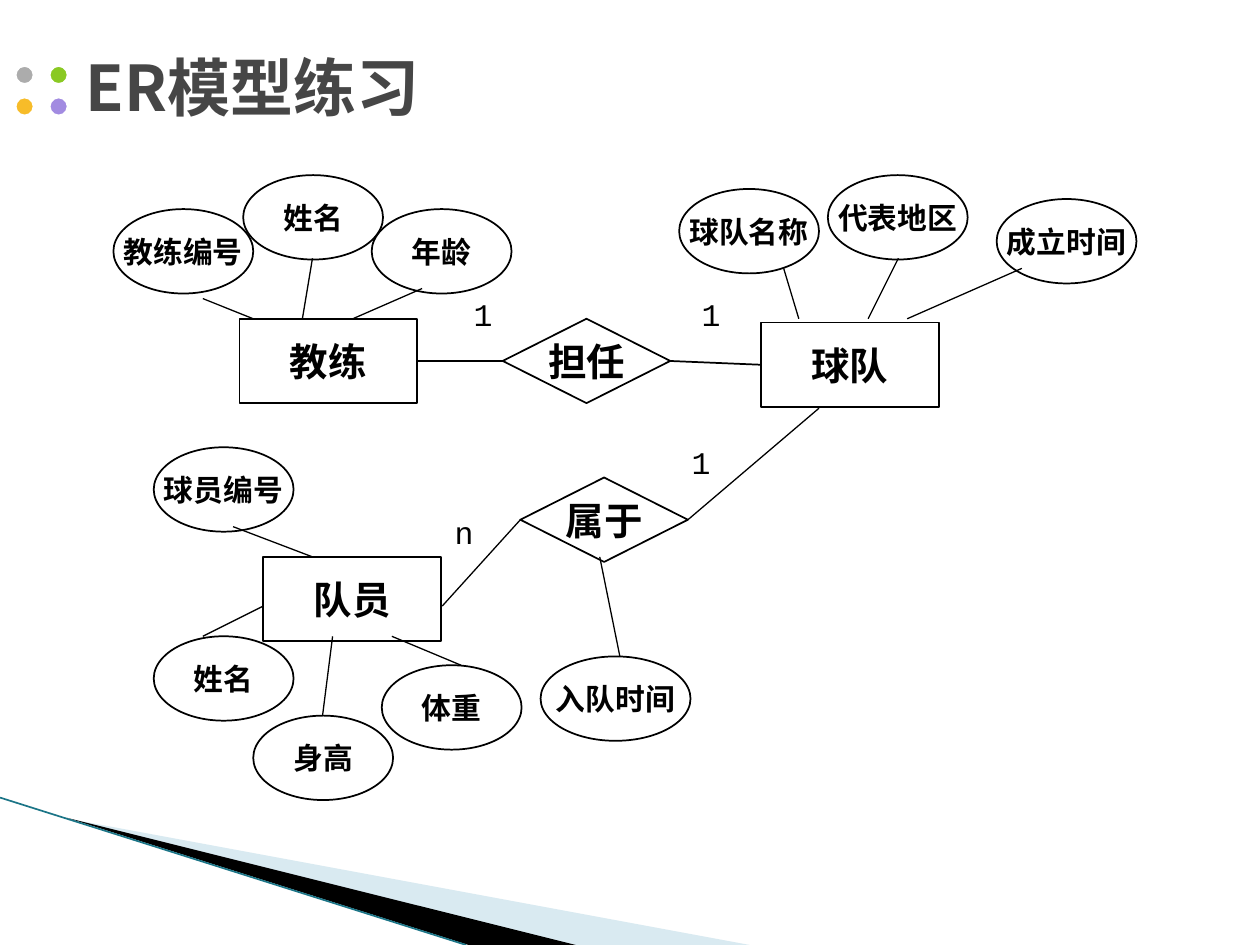
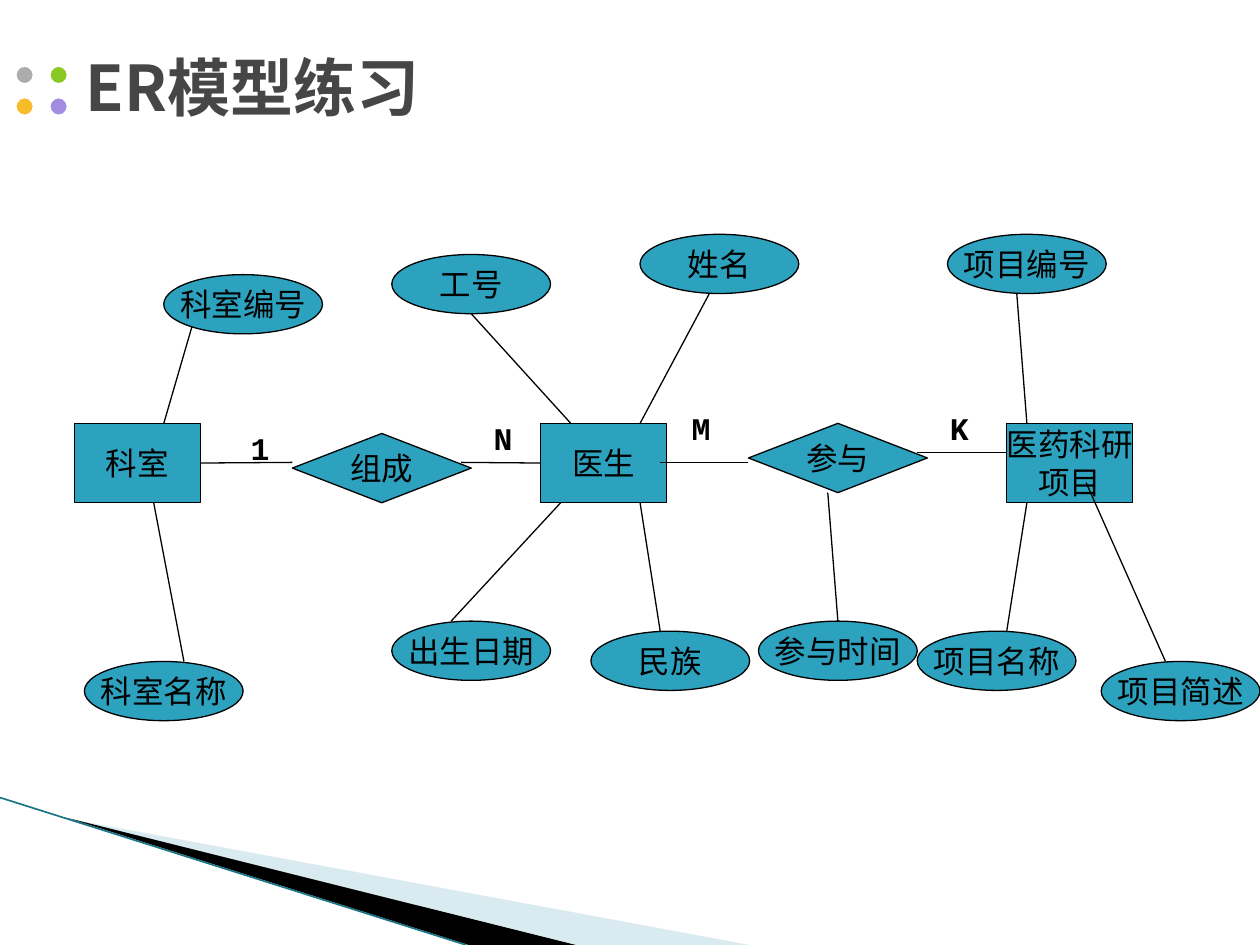
from lxml import etree
from pptx import Presentation
from pptx.dml.color import RGBColor
from pptx.enum.shapes import MSO_CONNECTOR, MSO_SHAPE
from pptx.enum.text import MSO_ANCHOR, PP_ALIGN
from pptx.oxml.ns import qn
from pptx.util import Inches, Pt

RECT, OVAL = MSO_SHAPE.RECTANGLE, MSO_SHAPE.OVAL
DIAMOND, DECISION = MSO_SHAPE.DIAMOND, MSO_SHAPE.FLOWCHART_DECISION
STRAIGHT = MSO_CONNECTOR.STRAIGHT
MIDDLE = MSO_ANCHOR.MIDDLE
LEFT, CENTER = PP_ALIGN.LEFT, PP_ALIGN.CENTER
SIDE_LEFT, SIDE_RIGHT = 1, 3

SANS, MONO = "Noto Sans CJK SC", "Courier New"
BLACK, WHITE, GRAY, TEAL = "000000", "FFFFFF", "464646", "2DA2BF"
PALE_BLUE, DARK_TEAL = "A0CBDC", "1B7587"
DOT_COLORS = [["ACACAC", "8AC923"], ["F7BC29", "A28BE1"]]


def rgb(color):
    return RGBColor.from_string(color)


class ERDeck:
    def __init__(self):
        self.prs = Presentation()
        self.prs.slide_width, self.prs.slide_height = Inches(10), Inches(7.5)
        self.s = None
        self.nodes = {}

    def new_slide(self, title, fill, line_width, node_size, attribute_size, bold):
        self.s = self.prs.slides.add_slide(self.prs.slide_layouts[5])
        self.nodes = {}
        self.fill, self.line_width = fill, line_width
        self.node_size, self.attribute_size, self.bold = node_size, attribute_size, bold
        self.backdrop()
        sp = self.s.shapes.title
        sp.left, sp.top, sp.width, sp.height = map(Inches, (0.58, 0.3, 8.44, 0.77))
        self.set_text(sp.text_frame, title, 36, SANS, True, GRAY, LEFT)
        sp.text_frame.vertical_anchor = MIDDLE

    def backdrop(self):
        self.wedge([(0.55, 6.5), (5.95, 7.5), (4.56, 7.5)], PALE_BLUE, 40)
        self.wedge([(0.53, 6.49), (4.57, 7.5), (3.72, 7.5)], BLACK)
        self.link((0, 6.33), (3.7, 7.5), 0.95, DARK_TEAL)
        for row, colors in enumerate(DOT_COLORS):
            for col, color in enumerate(colors):
                self.shape(OVAL, 0.12 + 0.27 * col, 0.52 + 0.25 * row,
                           0.15, 0.15, color, WHITE, 1.5)

    def wedge(self, points, color, alpha=None):
        points = [(Inches(x), Inches(y)) for x, y in points]
        builder = self.s.shapes.build_freeform(*points[0])
        builder.add_line_segments(points[1:])
        sp = builder.convert_to_shape()
        self.paint(sp, color)
        sp.line.fill.background()
        if alpha:
            clr = sp._element.spPr.find(qn("a:solidFill"))[0]
            etree.SubElement(clr, qn("a:alpha")).set("val", str(alpha * 1000))

    def paint(self, sp, color):
        sp.shadow.inherit = False
        if color:
            sp.fill.solid()
            sp.fill.fore_color.rgb = rgb(color)
        else:
            sp.fill.background()

    def shape(self, kind, x, y, w, h, fill, line, line_width):
        sp = self.s.shapes.add_shape(kind, *map(Inches, (x, y, w, h)))
        self.paint(sp, fill)
        sp.line.color.rgb = rgb(line)
        sp.line.width = Pt(line_width)
        return sp

    def set_text(self, tf, text, size, font, bold, color=BLACK, align=CENTER):
        tf.text = text
        for p in tf.paragraphs:
            p.alignment = align
            for r in p.runs:
                r.font.size, r.font.bold, r.font.name = Pt(size), bold, font
                r.font.color.rgb = rgb(color)
                ea = etree.SubElement(r._r.get_or_add_rPr(), qn("a:ea"))
                ea.set("typeface", SANS)

    def box(self, kind, text, x, y, w, h, size):
        sp = self.shape(kind, x, y, w, h, self.fill, BLACK, self.line_width)
        tf = sp.text_frame
        tf.word_wrap = False
        tf.vertical_anchor = MIDDLE
        self.set_text(tf, text, size, SANS, self.bold)
        return sp

    def node_row(self, kind, w, h, places):
        for text, x, y in places:
            self.nodes[text] = self.box(kind, text, x, y, w, h, self.node_size)

    def attributes(self, w, h, places):
        for text, x, y in places:
            self.box(OVAL, text, x, y, w, h, self.attribute_size)

    def link(self, start, end, width=0.75, color=BLACK):
        ends = [(0, 0) if isinstance(e[0], str) else e for e in (start, end)]
        c = self.s.shapes.add_connector(STRAIGHT, *[Inches(v) for e in ends for v in e])
        for e, connect in ((start, c.begin_connect), (end, c.end_connect)):
            if isinstance(e[0], str):
                connect(self.nodes[e[0]], e[1])
        c.line.color.rgb = rgb(color)
        c.line.width = Pt(width)
        etree.SubElement(c._element.spPr, qn("a:effectLst"))

    def links(self, pairs, width=0.75):
        for start, end in pairs:
            self.link(start, end, width)

    def cardinalities(self, places, bold):
        for text, x, y in places:
            tb = self.s.shapes.add_textbox(*map(Inches, (x, y, 0.39, 0.4)))
            tb.text_frame.word_wrap = True
            self.set_text(tb.text_frame, text, 18, MONO, bold, align=LEFT)


def team_slide(deck):
    deck.new_slide("ER模型练习", None, 1, 22, 17, True)
    deck.node_row(RECT, 1.41, 0.67, [
        ("教练", 1.9, 2.53), ("球队", 6.04, 2.56), ("队员", 2.09, 4.42)])
    deck.node_row(DECISION, 1.33, 0.67, [("担任", 3.99, 2.53), ("属于", 4.13, 3.79)])
    deck.links([
        (("担任", SIDE_LEFT), ("教练", SIDE_RIGHT)),
        (("担任", SIDE_RIGHT), ("球队", SIDE_LEFT))], 1)
    deck.links([
        ((2.01, 2.53), (1.61, 2.37)), ((2.48, 2.05), (2.4, 2.53)),
        ((3.35, 2.29), (2.8, 2.53)), ((6.22, 2.13), (6.34, 2.53)),
        ((7.13, 2.05), (6.89, 2.53)), ((7.2, 2.53), (8.11, 2.13)),
        ((3.51, 4.81), ("属于", SIDE_LEFT)), (("属于", SIDE_RIGHT), (6.5, 3.24)),
        ((2.48, 4.42), (1.85, 4.18)), ((2.09, 4.81), (1.61, 5.05)),
        ((2.64, 5.05), (2.56, 5.68)), ((3.11, 5.05), (3.66, 5.28)),
        ((4.76, 4.42), (4.92, 5.21))])
    deck.attributes(1.11, 0.67, [
        ("教练编号", 0.9, 1.66), ("姓名", 1.93, 1.39), ("年龄", 2.95, 1.66),
        ("球队名称", 5.39, 1.5), ("代表地区", 6.57, 1.39), ("成立时间", 7.91, 1.58),
        ("球员编号", 1.22, 3.55), ("姓名", 1.22, 5.05), ("身高", 2.01, 5.68),
        ("体重", 3.03, 5.28)])
    deck.attributes(1.19, 0.67, [("入队时间", 4.29, 5.21)])
    deck.cardinalities([
        ("1", 3.66, 2.29), ("1", 5.47, 2.29), ("n", 3.51, 4.02), ("1", 5.39, 3.47)], False)


def hospital_slide(deck):
    deck.new_slide("ER模型练习", TEAL, 0.75, 18, 18, False)
    deck.node_row(RECT, 1, 0.63, [
        ("科室", 0.59, 3.36), ("医生", 4.29, 3.36), ("医药科研\n项目", 7.99, 3.36)])
    deck.node_row(DIAMOND, 1.42, 0.55, [("组成", 2.32, 3.44), ("参与", 5.94, 3.36)])
    deck.links([
        ((2.32, 3.67), ("科室", SIDE_RIGHT)), (("医生", SIDE_LEFT), (3.66, 3.67)),
        ((5.94, 3.67), (5.24, 3.67)), ((7.99, 3.59), (7.28, 3.59)),
        ((6.65, 4.93), (6.57, 3.91)), ((1.3, 3.36), (1.53, 2.57)),
        ((1.46, 5.25), (1.22, 3.99)), ((8.15, 3.36), (8.07, 2.33)),
        ((7.99, 5.01), (8.15, 3.99)), ((9.25, 5.25), (8.62, 3.83)),
        ((3.58, 4.93), (4.45, 3.99)), ((4.53, 3.36), (3.74, 2.49)),
        ((5.08, 3.36), (5.63, 2.33)), ((5.24, 5.01), (5.08, 3.99))])
    deck.attributes(1.26, 0.47, [
        ("科室编号", 1.3, 2.18), ("科室名称", 0.67, 5.25), ("工号", 3.11, 2.02),
        ("姓名", 5.08, 1.86), ("出生日期", 3.11, 4.93), ("民族", 4.69, 5.01),
        ("参与时间", 6.02, 4.93), ("项目编号", 7.52, 1.86), ("项目名称", 7.28, 5.01),
        ("项目简述", 8.74, 5.25)])
    deck.cardinalities([
        ("1", 1.89, 3.36), ("N", 3.82, 3.28), ("M", 5.39, 3.2), ("K", 7.44, 3.2)], True)


def main():
    deck = ERDeck()
    team_slide(deck)
    hospital_slide(deck)
    deck.prs.save("out.pptx")


if __name__ == "__main__":
    main()
